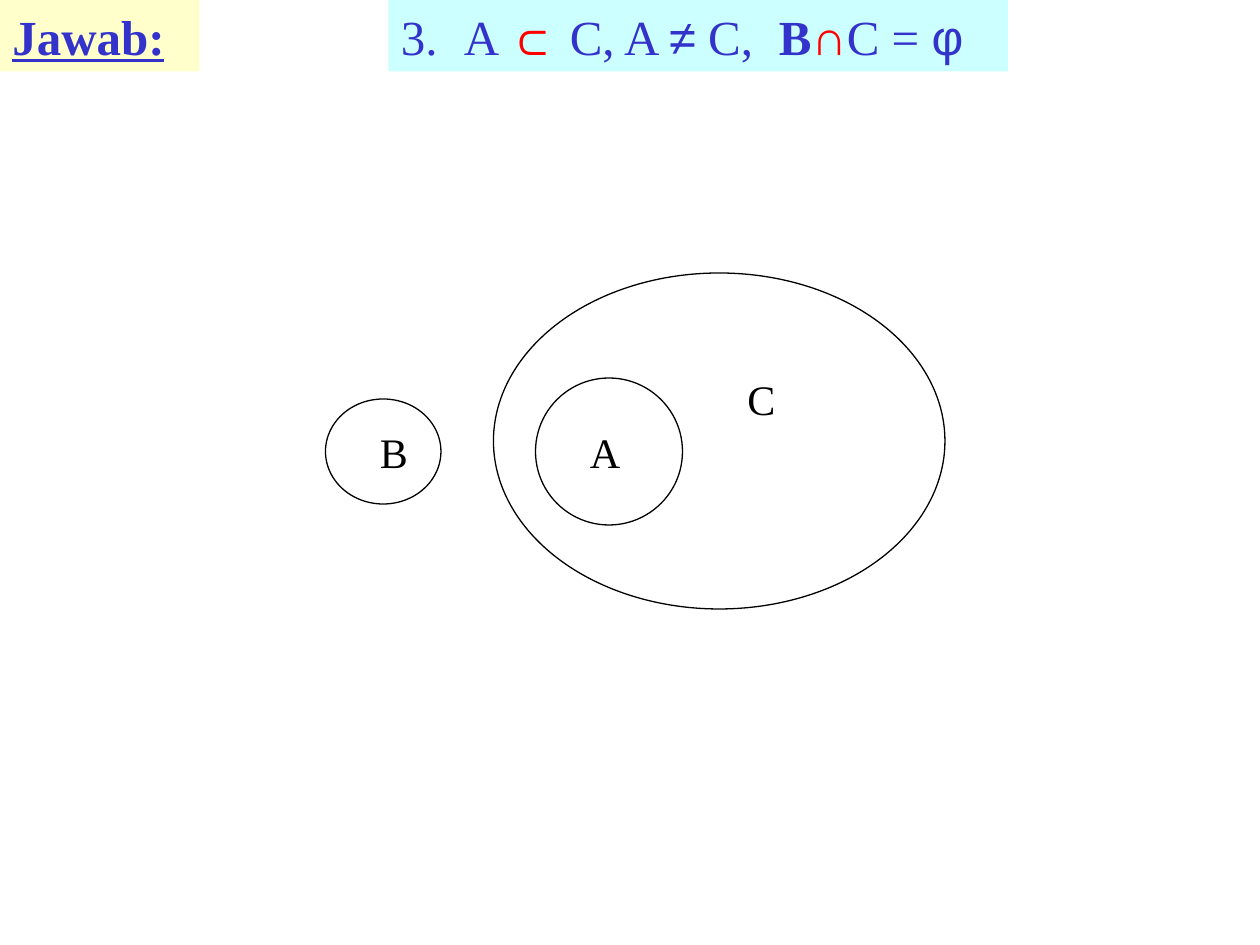
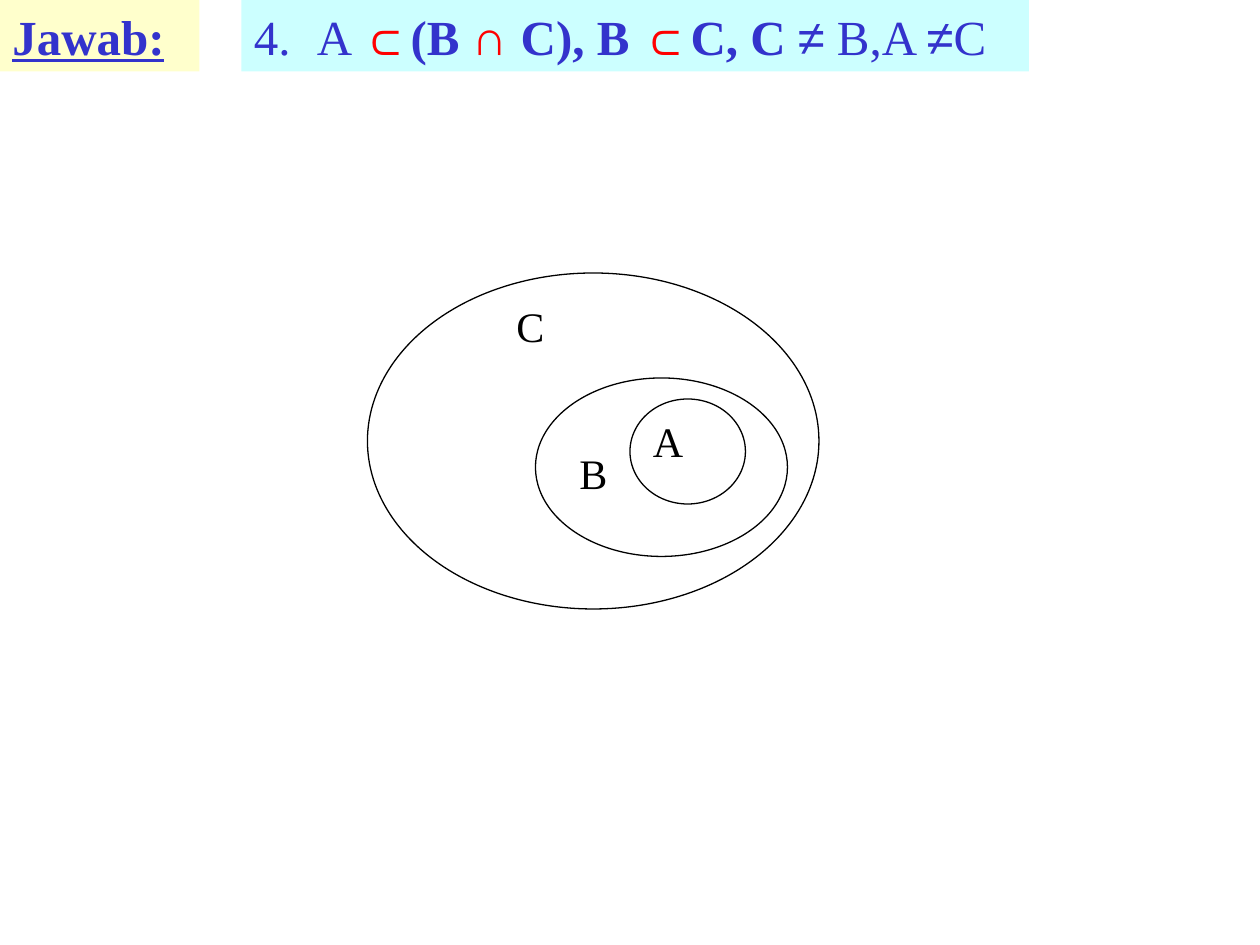
from lxml import etree
from pptx import Presentation
from pptx.dml.color import RGBColor
from pptx.enum.shapes import MSO_SHAPE
from pptx.enum.text import MSO_ANCHOR, MSO_AUTO_SIZE, PP_ALIGN
from pptx.oxml.ns import qn
from pptx.util import Emu, Pt

RECT, OVAL = MSO_SHAPE.RECTANGLE, MSO_SHAPE.OVAL
TOP, LEFT = MSO_ANCHOR.TOP, PP_ALIGN.LEFT
GROW = MSO_AUTO_SIZE.SHAPE_TO_FIT_TEXT

# Shared style: 120 px to the inch
SCALE = 7620
INCH = 120
WIDE, HIGH = 1200, 900
BAND = 68
COLOR = {
    "ink": "000000",
    "blue": "3333CC",
    "red": "FF0000",
    "cream": "FFFFCC",
    "aqua": "CCFFFF",
}
SERIF, SANS = "Times New Roman", "Arial"
RED_SIGNS = "⊂∩"
SIGNS = RED_SIGNS + "≠φ"


def px(n):
    return Emu(n * SCALE)


def rgb(name):
    return RGBColor.from_string(COLOR[name])


def style(run, size, color, font=SERIF, bold=False):
    run.font.size = Pt(size)
    run.font.name = font
    run.font.bold = bold
    run.font.color.rgb = rgb(color)


def open_text(shape, gap):
    """Prepare the frame and return its first paragraph."""
    frame = shape.text_frame
    frame.word_wrap = True
    frame.auto_size = GROW
    frame.vertical_anchor = TOP
    para = frame.paragraphs[0]
    para.alignment = LEFT
    para.space_before = Pt(gap)
    return para


def add_band(slide, left, width, fill):
    band = slide.shapes.add_shape(RECT, px(left), 0, px(width), px(BAND))
    band.shadow.inherit = False
    band.fill.solid()
    band.fill.fore_color.rgb = rgb(fill)
    band.line.fill.background()
    return open_text(band, 17.5)


def number(para, start):
    """Give the paragraph a hanging number and a tab stop at each inch."""
    props = para._p.get_or_add_pPr()
    props.set("marL", str(px(INCH // 2)))
    props.set("indent", str(px(-INCH // 2)))
    tint = etree.SubElement(props, qn("a:buClr"))
    etree.SubElement(tint, qn("a:srgbClr"), val=COLOR["blue"])
    etree.SubElement(props, qn("a:buAutoNum"), type="arabicPeriod",
                     startAt=str(start))
    tabs = etree.SubElement(props, qn("a:tabLst"))
    for stop in range(1, 9):
        etree.SubElement(tabs, qn("a:tab"), pos=str(px(stop * INCH)), algn="l")


def add_title(slide):
    para = add_band(slide, 0, 190, "cream")
    para.text = "Jawab:"
    run = para.runs[0]
    style(run, 28, "blue", bold=True)
    run.font.underline = True


def add_task(slide, start, left, width, parts):
    """Numbered formula; signs get their own font and colour."""
    para = add_band(slide, left, width, "aqua")
    number(para, start)
    for text, bold in parts:
        run = para.add_run()
        run.text = text
        sign = text.strip()
        color = "red" if sign in RED_SIGNS else "blue"
        style(run, 28, color, SANS if sign in SIGNS else SERIF, bold)


def add_oval(group, left, top, width, height):
    oval = group.shapes.add_shape(OVAL, px(left), px(top),
                                  px(width), px(height))
    oval.shadow.inherit = False
    oval.fill.background()
    oval.line.color.rgb = rgb("ink")
    oval.line.width = Pt(0.75)


def add_label(group, text, left, top, width):
    box = group.shapes.add_textbox(px(left), px(top), px(width), px(60))
    para = open_text(box, 15)
    para.text = text
    style(para.runs[0], 24, "ink")


def add_venn(slide, outer, labels, inner):
    group = slide.shapes.add_group_shape()
    add_oval(group, *outer)
    for label in labels:
        add_label(group, *label)
    for oval in inner:
        add_oval(group, *oval)


def main():
    deck = Presentation()
    deck.slide_width, deck.slide_height = px(WIDE), px(HIGH)
    blank = deck.slide_layouts[6]

    # Task 3: A inside C, B apart
    slide = deck.slides.add_slide(blank)
    add_title(slide)
    add_task(slide, 3, 370, 590, [
        ("A ", False), ("⊂", True), (" C, A ", False), ("≠", False),
        (" C, \t", False), ("B", True), ("∩", True), ("C = ", False),
        ("φ", False),
    ])
    add_venn(
        slide, (470, 260, 430, 320),
        [("B", 350, 400, 60), ("A", 550, 400, 70), ("C", 700, 350, 70)],
        [(510, 360, 140, 140), (310, 380, 110, 100)],
    )

    # Task 4: A inside B inside C
    slide = deck.slides.add_slide(blank)
    add_title(slide)
    add_task(slide, 4, 230, 750, [
        ("A ", False), ("⊂", True), ("(B ", True), ("∩ ", True),
        ("C), B ", True), ("⊂", True), ("C, C ", True), ("≠", False),
        (" B,A ", False), ("≠", False), ("C", False),
    ])
    add_venn(
        slide, (350, 260, 430, 320),
        [("A", 610, 390, 60), ("B", 540, 420, 70), ("C", 480, 280, 70)],
        [(510, 360, 240, 170), (600, 380, 110, 100)],
    )

    deck.save("out.pptx")


if __name__ == "__main__":
    main()
